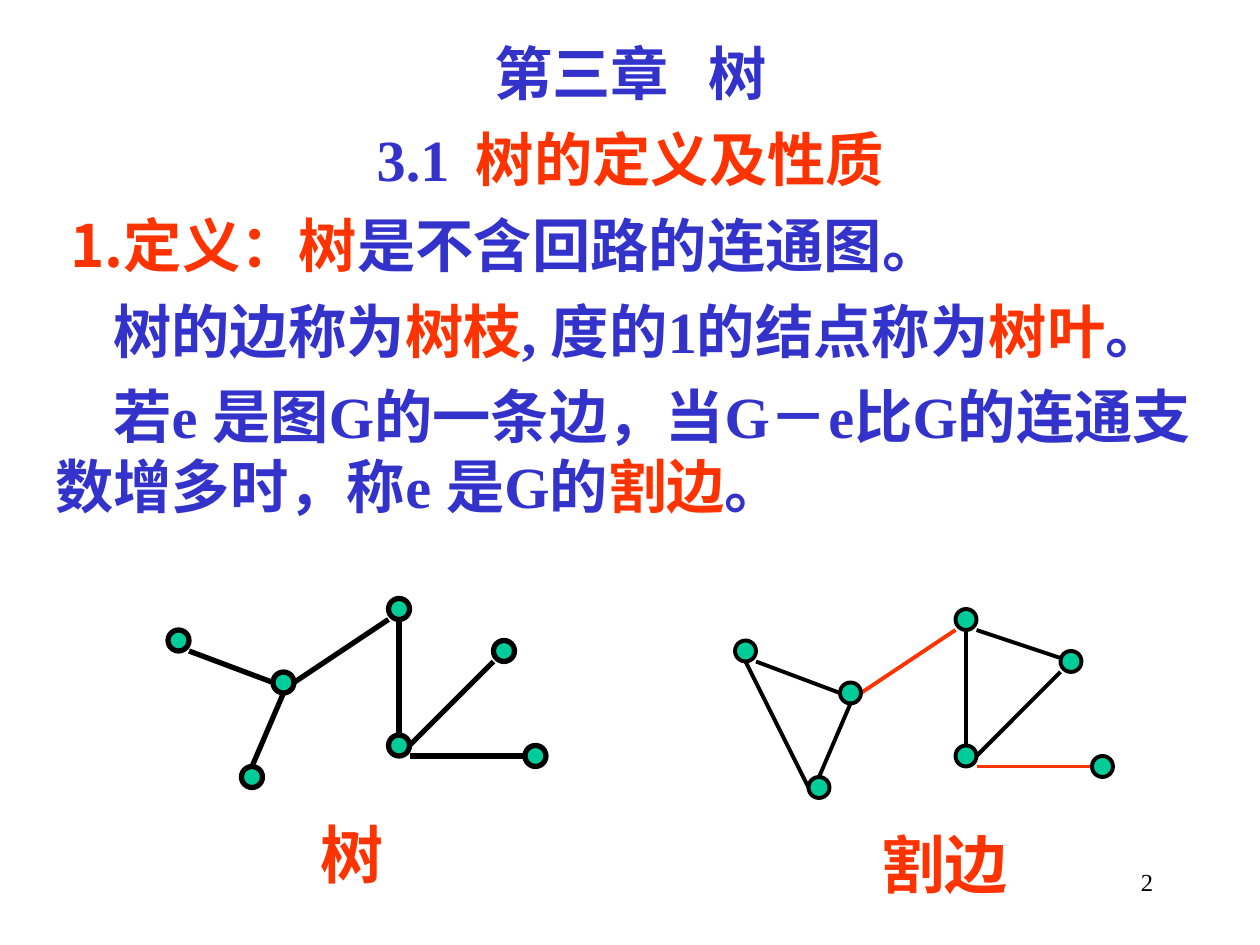
from lxml import etree
from pptx import Presentation
from pptx.enum import shapes, text
from pptx.oxml import ns
from pptx.util import Inches, Pt
from pptx.dml.color import RGBColor

COLORS = {"blue": "3333CC", "red": "FF3300", "green": "00CC99", "black": "000000"}
FONT = "Times New Roman"
BODY_SIZE = 33.3

# Graph coordinates are in twelfths of an inch.
NODES = [(16, 60), (26, 64), (23, 73), (37, 70), (37, 57), (50, 71), (47, 61)]
BRIDGES = [((28, 65), (37, 59)), ((39, 72), (50, 72))]
TREE_EDGES = [((18, 62), (26, 65)), ((38, 59), (38, 70)),
              ((39, 71), (47, 63)), ((24, 73), (27, 66))]
CYCLE_EDGES = [((17, 62), (23, 74)), ((39, 59), (48, 62))]

BODY = [
    dict(runs=[("第三章", "blue"), ("　", "blue", 22.5), ("树", "blue")],
         align="CENTER"),
    dict(runs=[("3.1", "blue"), ("　", "blue", 15), ("树的定义及性质", "red")],
         align="CENTER"),
    dict(runs=[("定义：树", "red"), ("是不含回路的连通图。", "blue")],
         indent=0.12, numbered=True),
    dict(runs=[("树的边称为", "blue"), ("树枝", "red"), (", 度的1的结点称为", "blue"),
               ("树叶", "red"), ("。", "blue")], indent=0.46),
    dict(runs=[("若e 是图G的一条边，当G－e比G的连通支数增多时，称e 是G的", "blue"),
               ("割边", "red"), ("。", "blue")], indent=0.46),
]


def rgb(name):
    return RGBColor.from_string(COLORS[name])


def grid(units):
    return Inches(units / 12)


def add_text(paragraph, content, color="black", size=BODY_SIZE, bold=True):
    run = paragraph.add_run()
    run.text = content
    run.font.name = FONT
    run.font.size = Pt(size)
    run.font.bold = bold
    run.font.color.rgb = rgb(color)


def format_start(paragraph, indent, numbered):
    """Set the first-line indent, keep punctuation inside the box, number in red if asked."""
    properties = paragraph._p.get_or_add_pPr()
    properties.set("marL", "0")
    properties.set("indent", str(Inches(indent)))
    properties.set("hangingPunct", "0")
    if numbered:
        bullet_color = etree.SubElement(properties, ns.qn("a:buClr"))
        etree.SubElement(bullet_color, ns.qn("a:srgbClr"), val=COLORS["red"])
        etree.SubElement(properties, ns.qn("a:buAutoNum"), type="arabicPeriod")


class SlideBuilder:
    def __init__(self, slide):
        self.slide = slide

    def text_box(self, left, top, width, height, paragraphs):
        box = self.slide.shapes.add_textbox(*map(Inches, (left, top, width, height)))
        frame = box.text_frame
        frame.word_wrap = True
        for index, item in enumerate(paragraphs):
            paragraph = frame.paragraphs[0] if index == 0 else frame.add_paragraph()
            paragraph.alignment = text.PP_ALIGN[item.get("align", "LEFT")]
            paragraph.space_before = Pt(9 if index else 0)
            format_start(paragraph, item.get("indent", 0), item.get("numbered", False))
            for run in item["runs"]:
                add_text(paragraph, *run, **item.get("style", {}))

    def label(self, left, top, width, content):
        self.text_box(left, top, width, 0.7,
                      [dict(runs=[(content, "red", 36)], align="CENTER")])

    def edge(self, group, start, end, color, weight):
        line = group.shapes.add_connector(
            shapes.MSO_CONNECTOR.STRAIGHT, *map(grid, (*start, *end)))
        line.line.color.rgb = rgb(color)
        line.line.width = Pt(weight)
        etree.SubElement(line._element.spPr, ns.qn("a:effectLst"))

    def node(self, group, left, top, weight):
        circle = group.shapes.add_shape(
            shapes.MSO_SHAPE.OVAL, grid(left), grid(top), grid(2), grid(2))
        circle.shadow.inherit = False
        circle.fill.solid()
        circle.fill.fore_color.rgb = rgb("green")
        circle.line.color.rgb = rgb("black")
        circle.line.width = Pt(weight)

    def graph(self, edges, bridge_color, weight, dx=0, dy=0):
        """Draw the shared nodes and bridges plus the given edges, shifted by dx, dy."""
        group = self.slide.shapes.add_group_shape()
        colored = [(edge, "black") for edge in edges]
        colored += [(edge, bridge_color) for edge in BRIDGES]
        for ((x1, y1), (x2, y2)), color in colored:
            self.edge(group, (x1 + dx, y1 + dy), (x2 + dx, y2 + dy), color, weight)
        for x, y in NODES:
            self.node(group, x + dx, y + dy, weight)


def main():
    presentation = Presentation()
    presentation.slide_width, presentation.slide_height = Inches(10), Inches(7.5)
    slide = presentation.slides.add_slide(presentation.slide_layouts[6])
    builder = SlideBuilder(slide)
    builder.text_box(0.34, 0.25, 9.33, 4.58, BODY)
    builder.graph(TREE_EDGES, "black", 3)
    builder.label(2.17, 6.42, 1.25, "树")
    builder.graph(TREE_EDGES + CYCLE_EDGES, "red", 2.25, dx=54, dy=1)
    builder.label(6.75, 6.5, 1.5, "割边")
    builder.text_box(7.17, 6.83, 2.08, 0.5,
                     [dict(runs=[("2",)], align="RIGHT",
                           style=dict(size=14, bold=False))])
    presentation.save("out.pptx")


if __name__ == "__main__":
    main()
